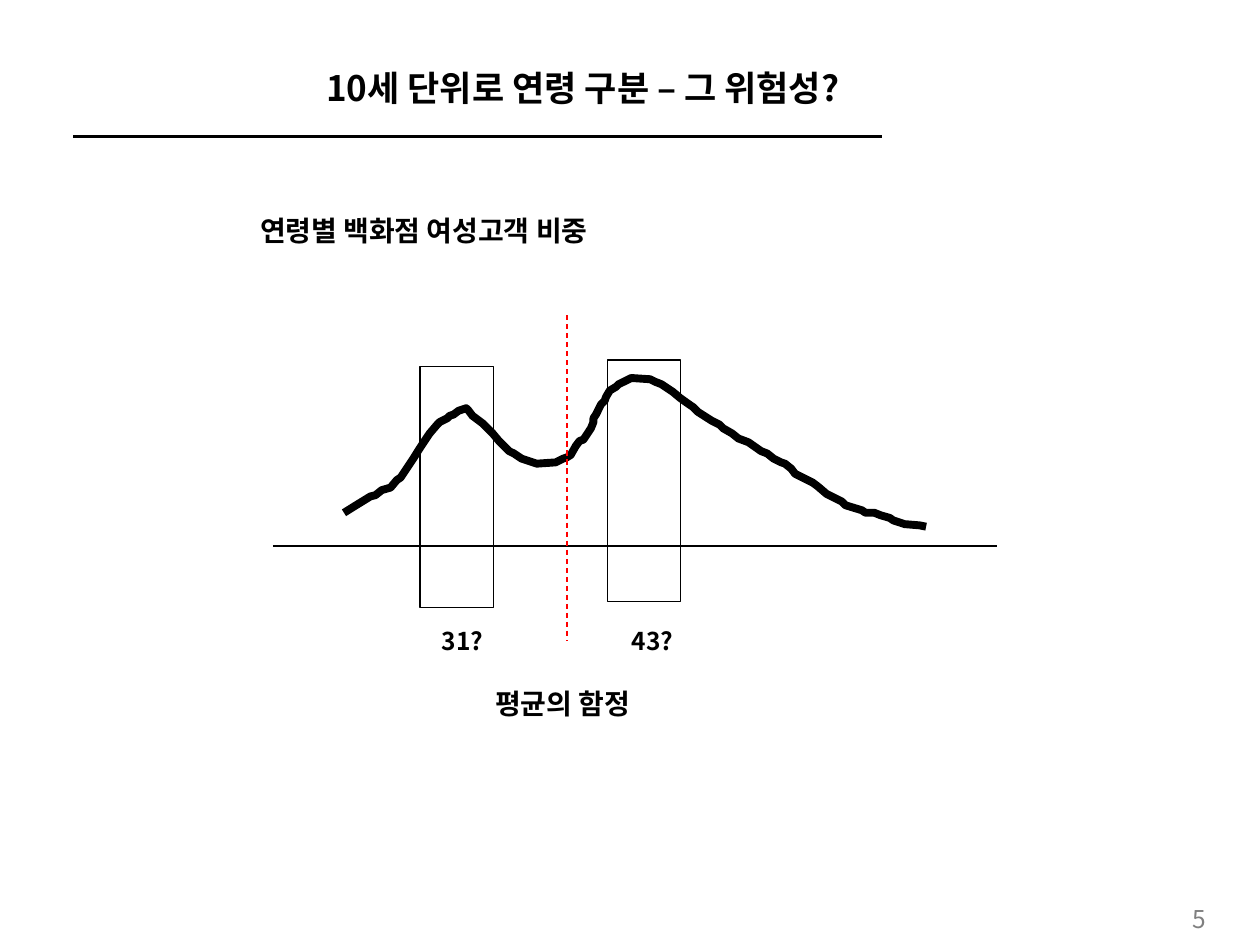
from pptx import Presentation
from pptx.dml.color import RGBColor
from pptx.enum.dml import MSO_LINE_DASH_STYLE as Dash
from pptx.enum.shapes import MSO_CONNECTOR as Connector, MSO_SHAPE as Preset
from pptx.enum.text import MSO_ANCHOR as Anchor, MSO_AUTO_SIZE as AutoSize, PP_ALIGN as Align
from pptx.oxml.ns import qn
from pptx.util import Inches, Pt
from lxml.etree import SubElement

BLACK = RGBColor(0, 0, 0)
GRAY = RGBColor(0x80, 0x80, 0x80)
RED = RGBColor(0xFF, 0, 0)
FONT = "Noto Sans CJK KR"
CELL = Inches(1) / 12
CURVE_UNIT = Inches(0.01)

CUSTOMER_CURVE = [
    (273, 407), (281, 402), (294, 394), (298, 393), (303, 389), (310, 387),
    (315, 381), (318, 379), (328, 364), (333, 356), (337, 350), (341, 344),
    (347, 337), (349, 335), (355, 332), (357, 330), (360, 329), (364, 326),
    (370, 324), (372, 326), (375, 330), (383, 336), (385, 338), (391, 344),
    (396, 350), (398, 352), (404, 358), (408, 360), (414, 364), (420, 366),
    (426, 368), (441, 367), (447, 364), (450, 363), (453, 361), (457, 354),
    (460, 350), (463, 349), (467, 343), (469, 340), (471, 335), (471, 332),
    (473, 329), (477, 321), (480, 318), (481, 315), (484, 310), (489, 307),
    (491, 305), (495, 303), (501, 300), (516, 301), (520, 303), (525, 305),
    (534, 311), (540, 316), (547, 321), (550, 323), (554, 327), (565, 334),
    (571, 337), (574, 340), (581, 344), (586, 348), (594, 351), (604, 358),
    (609, 360), (614, 364), (620, 367), (623, 368), (628, 372), (631, 376),
    (637, 379), (645, 383), (649, 386), (656, 392), (664, 396), (668, 398),
    (671, 401), (684, 405), (687, 407), (694, 407), (699, 409), (706, 411),
    (709, 413), (718, 416), (730, 417), (735, 418),
]


def grid(*cells):
    return [round(cell * CELL) for cell in cells]


class AgeSlide:
    def __init__(self, presentation):
        self.slide = presentation.slides.add_slide(presentation.slide_layouts[6])
        self.shapes = self.slide.shapes

    def stroke(self, shape, color, width, dash=None):
        shape.line.color.rgb = color
        for name, value in {"width": Pt(width), "dash_style": dash}.items():
            setattr(shape.line, name, value)

    def line(self, start, end, width=0.75, color=BLACK, dash=None):
        connector = self.shapes.add_connector(Connector.STRAIGHT, *grid(*start, *end))
        self.stroke(connector, color, width, dash)
        SubElement(connector.element.spPr, qn("a:effectLst"))

    def outline(self, shape, width):
        shape.shadow.inherit = False
        shape.fill.background()
        self.stroke(shape, BLACK, width)

    def box(self, *cells):
        self.outline(self.shapes.add_shape(Preset.RECTANGLE, *grid(*cells)), 0.75)

    def curve(self, points, width):
        builder = self.shapes.build_freeform(*points[0], scale=CURVE_UNIT)
        builder.add_line_segments(points[1:], close=False)
        self.outline(builder.convert_to_shape(), width)

    def text(self, words, cells, size, color=BLACK, bold=True, align=Align.LEFT, **frame_format):
        frame = self.shapes.add_textbox(*grid(*cells)).text_frame
        for name, value in frame_format.items():
            setattr(frame, name, value)
        paragraph = frame.paragraphs[0]
        paragraph.alignment = align
        run = paragraph.add_run()
        run.text = words
        for name, value in {"size": Pt(size), "bold": bold, "name": FONT}.items():
            setattr(run.font, name, value)
        run.font.color.rgb = color
        SubElement(run.font._element, qn("a:ea"), typeface=FONT)

    def label(self, words, cells, size):
        self.text(words, cells, size, word_wrap=False, auto_size=AutoSize.SHAPE_TO_FIT_TEXT)


presentation = Presentation()
presentation.slide_width = Inches(10)
presentation.slide_height = Inches(7.5)

page = AgeSlide(presentation)
page.line((7, 13), (84, 13), width=2.25)
page.text("10세 단위로 연령 구분 – 그 위험성?", (10, 3.6, 91, 9.4), 20,
          align=Align.CENTER, word_wrap=True, vertical_anchor=Anchor.MIDDLE)
page.text("5", (106, 86, 10, 3), 14, color=GRAY, bold=False,
          align=Align.RIGHT, word_wrap=True, vertical_anchor=Anchor.MIDDLE)
page.line((26, 52), (95, 52))
page.curve(CUSTOMER_CURVE, 4.5)

for age, box_left, box_top, label_left in [("43?", 57.85, 34.3, 59), ("31?", 40, 34.9, 40.9)]:
    page.box(box_left, box_top, 7, 23)
    page.label(age, (label_left, 59, 6.4, 4.1), 14)

page.label("평균의 함정", (46, 64.8, 16.6, 4.4), 16)
page.line((54, 30), (54, 61), color=RED, dash=Dash.DASH)
page.label("연령별 백화점 여성고객 비중", (23.6, 19.7, 36.8, 4.4), 16)

presentation.save("out.pptx")
